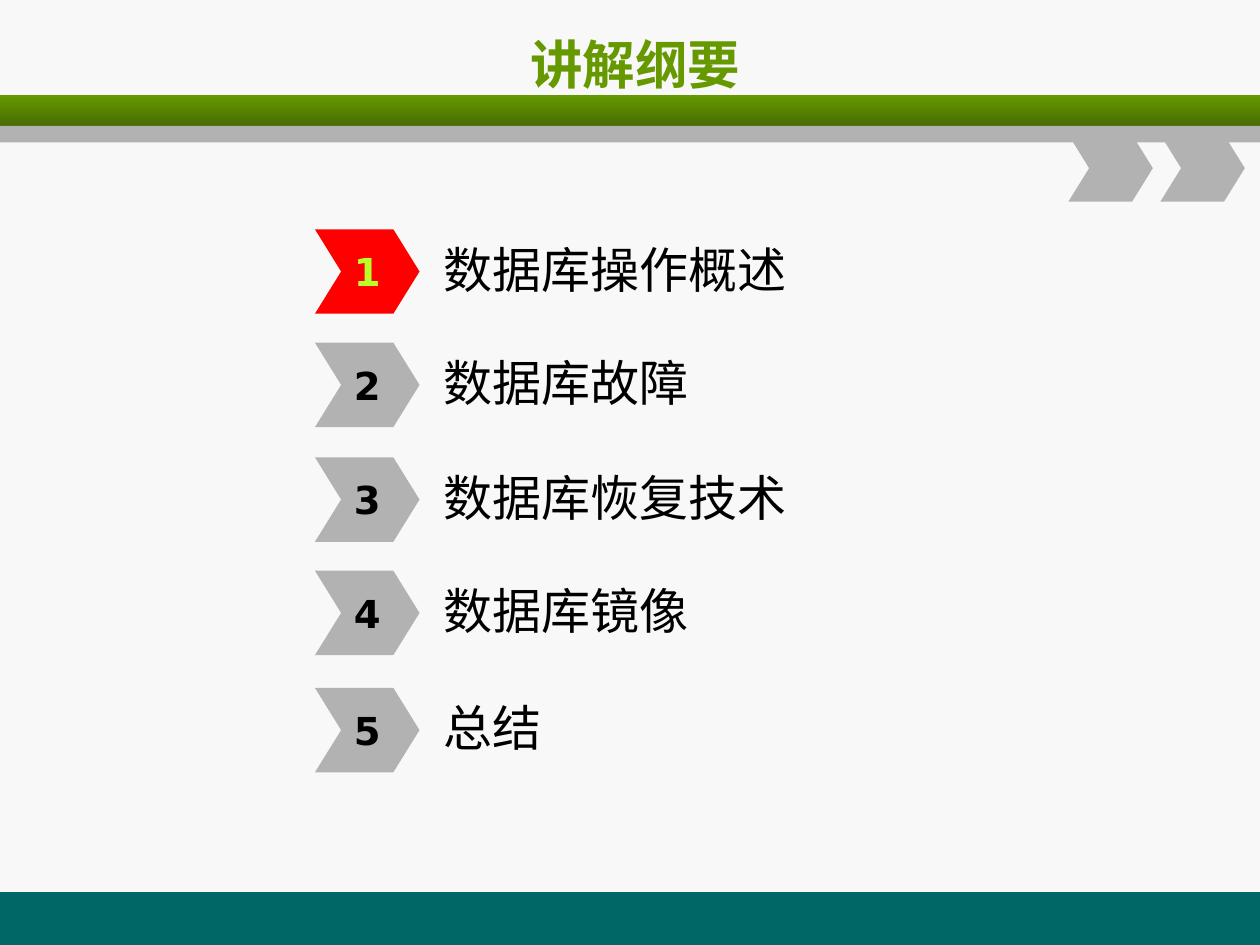
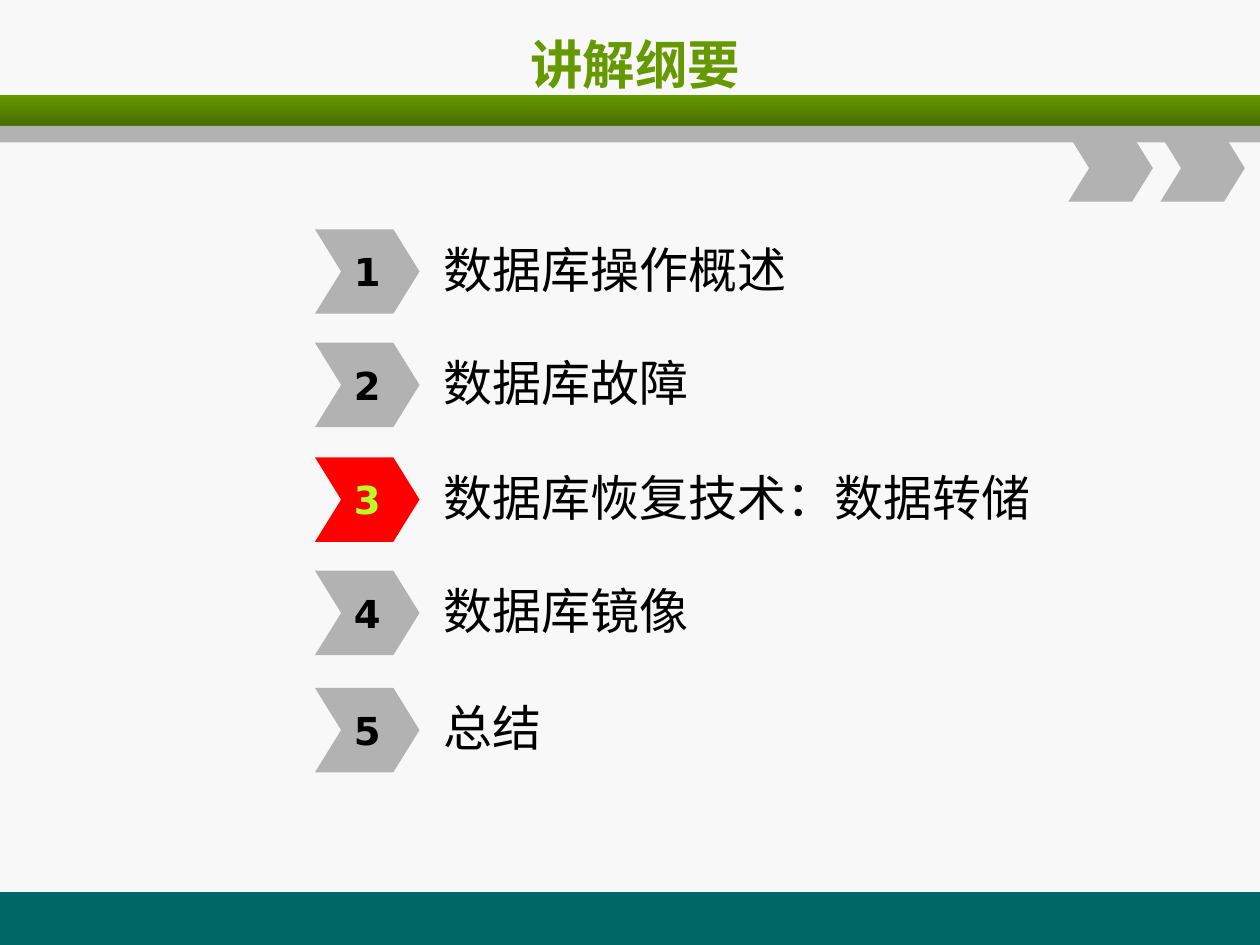
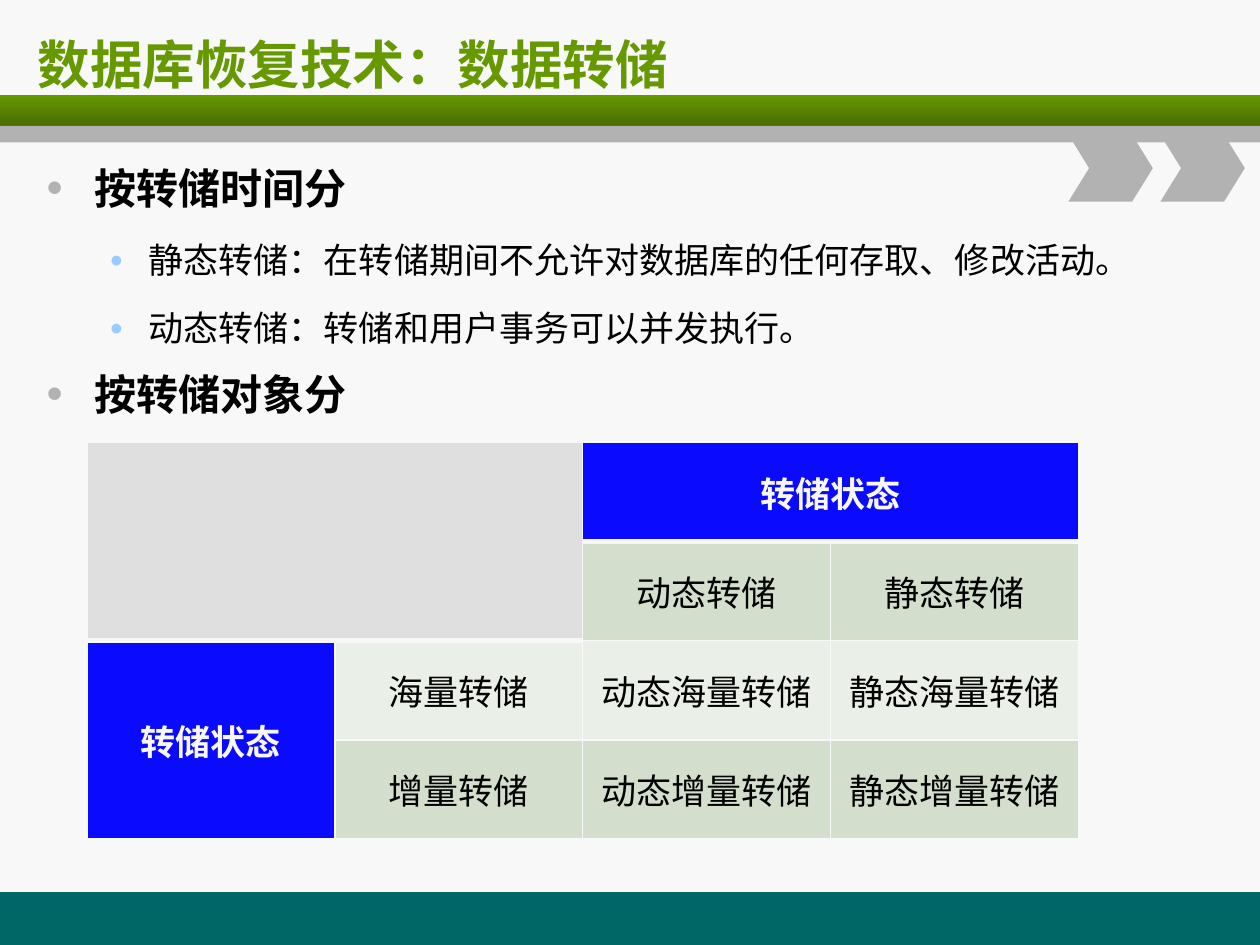
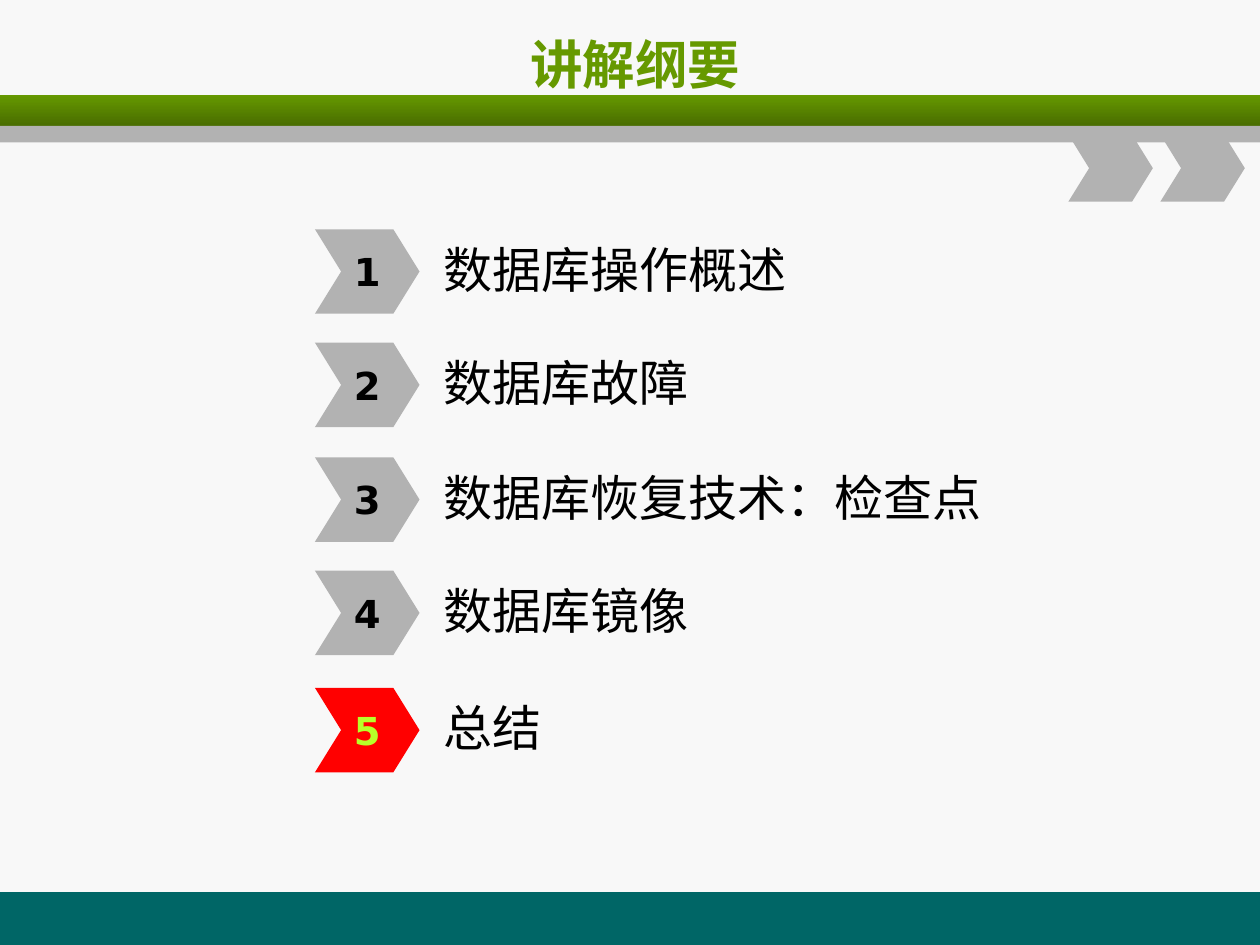
from dataclasses import dataclass
from typing import Optional

from lxml import etree
from pptx import Presentation
from pptx.dml.color import RGBColor
from pptx.enum.shapes import MSO_SHAPE
from pptx.enum.text import MSO_ANCHOR, MSO_AUTO_SIZE, PP_ALIGN
from pptx.oxml.ns import qn
from pptx.util import Inches, Pt

RECTANGLE, CHEVRON = MSO_SHAPE.RECTANGLE, MSO_SHAPE.CHEVRON
LEFT, CENTER = PP_ALIGN.LEFT, PP_ALIGN.CENTER
MIDDLE, TOP = MSO_ANCHOR.MIDDLE, MSO_ANCHOR.TOP
NO_AUTOFIT = MSO_AUTO_SIZE.NONE
TITLE_AND_CONTENT, TITLE_ONLY = 1, 5


@dataclass(frozen=True)
class Theme:
    background: RGBColor = RGBColor(0xF8, 0xF8, 0xF8)
    text: RGBColor = RGBColor(0, 0, 0)
    green: RGBColor = RGBColor(0x66, 0x99, 0x00)
    dark_green: RGBColor = RGBColor(0x49, 0x6D, 0x00)
    teal: RGBColor = RGBColor(0x00, 0x66, 0x66)
    gray: RGBColor = RGBColor(0xB2, 0xB2, 0xB2)
    active: RGBColor = RGBColor(0xFF, 0, 0)
    active_text: RGBColor = RGBColor(0xB8, 0xFF, 0x29)
    sub_bullet: RGBColor = RGBColor(0x99, 0xCC, 0xFF)
    table_corner: RGBColor = RGBColor(0xDF, 0xDF, 0xDF)
    table_header: RGBColor = RGBColor(0x0A, 0x0A, 0xFF)
    table_dark: RGBColor = RGBColor(0xD3, 0xDE, 0xCC)
    table_light: RGBColor = RGBColor(0xEA, 0xEF, 0xE7)
    main_font: str = "DejaVu Sans"
    label_font: str = "Noto Sans CJK SC"
    table_font: str = "Noto Sans CJK JP"
    title_size: int = 30
    label_size: int = 28
    heading_size: int = 24
    number_size: int = 22
    detail_size: int = 20


THEME = Theme()


@dataclass(frozen=True)
class Box:
    left: float
    top: float
    width: float
    height: float

    def lengths(self) -> tuple:
        return tuple(Inches(value) for value in
                     (self.left, self.top, self.width, self.height))


@dataclass(frozen=True)
class Band:
    kind: MSO_SHAPE
    box: Box
    color: RGBColor
    end_color: Optional[RGBColor] = None


@dataclass(frozen=True)
class BulletStyle:
    symbol: str
    color: RGBColor
    percent: int
    left: float
    hanging: float
    size: int
    bold: bool


@dataclass(frozen=True)
class TableBlock:
    row: int
    column: int
    text: str
    fill: RGBColor
    rows: int = 1
    columns: int = 1
    bottom_border: int = 1


BANDS = (
    Band(RECTANGLE, Box(0, 7.08, 10, 0.42), THEME.teal),
    Band(RECTANGLE, Box(0, 0.75, 10, 0.25), THEME.green, THEME.dark_green),
    Band(RECTANGLE, Box(0, 1, 10, 0.13), THEME.gray),
    Band(CHEVRON, Box(8.48, 1.07, 0.67, 0.53), THEME.gray),
    Band(CHEVRON, Box(9.21, 1.07, 0.67, 0.53), THEME.gray),
)
AGENDA_TITLE_BOX = Box(0.54, 0.17, 9, 0.67)
CONTENT_TITLE_BOX = Box(0.2, 0.17, 9.55, 0.67)
BODY_BOX = Box(0.27, 1.15, 8.72, 3.17)
TABLE_BOX = Box(0.69, 3.51, 7.87, 3.15)
AGENDA_TOPS = (1.82, 2.72, 3.63, 4.53, 5.46)

RECOVERY = "数据库恢复技术"
DUMP_TOPIC = f"{RECOVERY}：数据转储"

HEADING = BulletStyle("•", THEME.gray, 110, 0.38, 0.38, THEME.heading_size, True)
DETAIL = BulletStyle("●", THEME.sub_bullet, 65, 0.81, 0.31, THEME.detail_size, False)
DUMP_LINES = (
    (HEADING, "按转储时间分"),
    (DETAIL, "静态转储：在转储期间不允许对数据库的任何存取、修改活动。"),
    (DETAIL, "动态转储：转储和用户事务可以并发执行。"),
    (HEADING, "按转储对象分"),
)
DUMP_TABLE = (
    TableBlock(0, 0, "", THEME.table_corner, rows=2, columns=2, bottom_border=3),
    TableBlock(0, 2, "转储状态", THEME.table_header, columns=2, bottom_border=3),
    TableBlock(1, 2, "动态转储", THEME.table_dark),
    TableBlock(1, 3, "静态转储", THEME.table_dark),
    TableBlock(2, 0, "转储状态", THEME.table_header, rows=2),
    TableBlock(2, 1, "海量转储", THEME.table_light),
    TableBlock(2, 2, "动态海量转储", THEME.table_light),
    TableBlock(2, 3, "静态海量转储", THEME.table_light),
    TableBlock(3, 1, "增量转储", THEME.table_dark),
    TableBlock(3, 2, "动态增量转储", THEME.table_dark),
    TableBlock(3, 3, "静态增量转储", THEME.table_dark),
)


def format_paragraph(paragraph, font_name: str, size: int, color: RGBColor,
                     bold: bool = False, alignment: PP_ALIGN = LEFT) -> None:
    """Style a paragraph, using one typeface for Latin and East Asian text."""
    paragraph.alignment = alignment
    font = paragraph.font
    font.name, font.size, font.bold = font_name, Pt(size), bold
    font.color.rgb = color
    properties = paragraph._p.pPr.find(qn("a:defRPr"))
    etree.SubElement(properties, qn("a:ea"), typeface=font_name)


def add_plain_shape(slide, kind: MSO_SHAPE, box: Box, color: RGBColor):
    shape = slide.shapes.add_shape(kind, *box.lengths())
    shape.shadow.inherit = False
    shape.line.fill.background()
    shape.fill.solid()
    shape.fill.fore_color.rgb = color
    if kind == CHEVRON:
        shape.adjustments[0] = 0.31
    return shape


def move_bands_to_master(presentation, slide) -> None:
    """Draw the bands on a slide, then place them behind all in the master."""
    master = presentation.slide_master
    master.background.fill.solid()
    master.background.fill.fore_color.rgb = THEME.background
    for index, band in enumerate(BANDS):
        shape = add_plain_shape(slide, band.kind, band.box, band.color)
        if band.end_color is not None:
            shape.fill.gradient()
            shape.fill.gradient_angle = 270
            stops = shape.fill.gradient_stops
            for stop, position, color in zip(
                    stops, (0, 1), (band.color, band.end_color)):
                stop.position = position
                stop.color.rgb = color
        shape.element.nvSpPr.cNvPr.set("id", str(100 + index))
        master.shapes.element.insert(2 + index, shape.element)


def place_placeholder(placeholder, box: Box, anchor: MSO_ANCHOR) -> None:
    (placeholder.left, placeholder.top,
     placeholder.width, placeholder.height) = box.lengths()
    frame = placeholder.text_frame
    frame.auto_size = NO_AUTOFIT
    frame.word_wrap = True
    frame.vertical_anchor = anchor


def set_title(slide, text: str, box: Box, alignment: PP_ALIGN) -> None:
    title = slide.shapes.title
    place_placeholder(title, box, MIDDLE)
    title.text_frame.text = text
    format_paragraph(title.text_frame.paragraphs[0], THEME.main_font,
                     THEME.title_size, THEME.green, True, alignment)


def add_agenda_item(slide, number: int, label: str, top: float,
                    is_active: bool) -> None:
    marker = add_plain_shape(slide, CHEVRON, Box(2.5, top, 0.83, 0.67),
                             THEME.active if is_active else THEME.gray)
    frame = marker.text_frame
    frame.word_wrap = False
    frame.vertical_anchor = MIDDLE
    frame.text = str(number)
    format_paragraph(frame.paragraphs[0], THEME.main_font, THEME.number_size,
                     THEME.active_text if is_active else THEME.text, True, CENTER)

    label_box = Box(3.33, top + 0.02, 5.92, 0.58)
    frame = slide.shapes.add_textbox(*label_box.lengths()).text_frame
    frame.word_wrap = True
    frame.vertical_anchor = MIDDLE
    frame.margin_left = Inches(0.19)
    frame.text = label
    format_paragraph(frame.paragraphs[0], THEME.label_font,
                     THEME.label_size, THEME.text)


def add_agenda_slide(presentation, active: int, recovery_label: str):
    slide = presentation.slides.add_slide(presentation.slide_layouts[TITLE_ONLY])
    set_title(slide, "讲解纲要", AGENDA_TITLE_BOX, CENTER)
    labels = ("数据库操作概述", "数据库故障", recovery_label, "数据库镜像", "总结")
    for number, (label, top) in enumerate(zip(labels, AGENDA_TOPS), start=1):
        add_agenda_item(slide, number, label, top, number == active)
    return slide


def set_bullet(paragraph, style: BulletStyle) -> None:
    properties = paragraph._p.get_or_add_pPr()
    properties.set("marL", str(Inches(style.left)))
    properties.set("indent", str(-Inches(style.hanging)))
    color = etree.Element(qn("a:buClr"))
    etree.SubElement(color, qn("a:srgbClr"), val=str(style.color))
    size = etree.Element(qn("a:buSzPct"), val=str(style.percent * 1000))
    symbol = etree.Element(qn("a:buChar"), char=style.symbol)
    font_properties = properties.find(qn("a:defRPr"))
    for element in (color, size, symbol):
        font_properties.addprevious(element)


def fill_body(slide) -> None:
    body = slide.placeholders[1]
    place_placeholder(body, BODY_BOX, TOP)
    frame = body.text_frame
    frame.text = "\n".join(text for _, text in DUMP_LINES)
    for paragraph, (style, _) in zip(frame.paragraphs, DUMP_LINES):
        paragraph.level = 1 if style is DETAIL else 0
        paragraph.line_spacing = Pt(35)
        paragraph.space_before = Pt(style.size * 0.2)
        format_paragraph(paragraph, THEME.main_font, style.size,
                         THEME.text, style.bold)
        set_bullet(paragraph, style)


def style_cell(cell, block: TableBlock) -> None:
    cell.fill.solid()
    cell.fill.fore_color.rgb = block.fill
    properties = cell._tc.get_or_add_tcPr()
    widths = {"lnL": 1, "lnR": 1, "lnT": 1, "lnB": block.bottom_border}
    for index, (side, width) in enumerate(widths.items()):
        border = etree.Element(qn(f"a:{side}"), w=str(Pt(width)))
        fill = etree.SubElement(border, qn("a:solidFill"))
        etree.SubElement(fill, qn("a:srgbClr"), val=str(THEME.background))
        properties.insert(index, border)


def add_dump_table(slide) -> None:
    table = slide.shapes.add_table(4, 4, *TABLE_BOX.lengths()).table
    table.first_row = table.horz_banding = False
    for block in DUMP_TABLE:
        last_row = block.row + block.rows - 1
        last_column = block.column + block.columns - 1
        for row in range(block.row, last_row + 1):
            for column in range(block.column, last_column + 1):
                style_cell(table.cell(row, column), block)
        cell = table.cell(block.row, block.column)
        if block.rows * block.columns > 1:
            cell.merge(table.cell(last_row, last_column))
        if block.text:
            is_header = block.fill == THEME.table_header
            cell.text = block.text
            cell.vertical_anchor = MIDDLE
            format_paragraph(cell.text_frame.paragraphs[0], THEME.table_font,
                             THEME.detail_size,
                             THEME.background if is_header else THEME.text,
                             is_header, CENTER)


def add_dump_slide(presentation) -> None:
    slide = presentation.slides.add_slide(
        presentation.slide_layouts[TITLE_AND_CONTENT])
    set_title(slide, DUMP_TOPIC, CONTENT_TITLE_BOX, LEFT)
    fill_body(slide)
    add_dump_table(slide)


def main() -> None:
    presentation = Presentation()
    presentation.slide_width, presentation.slide_height = Inches(10), Inches(7.5)
    first_slide = add_agenda_slide(presentation, 1, RECOVERY)
    move_bands_to_master(presentation, first_slide)
    add_agenda_slide(presentation, 3, DUMP_TOPIC)
    add_dump_slide(presentation)
    add_agenda_slide(presentation, 5, f"{RECOVERY}：检查点")
    presentation.save("out.pptx")


if __name__ == "__main__":
    main()
